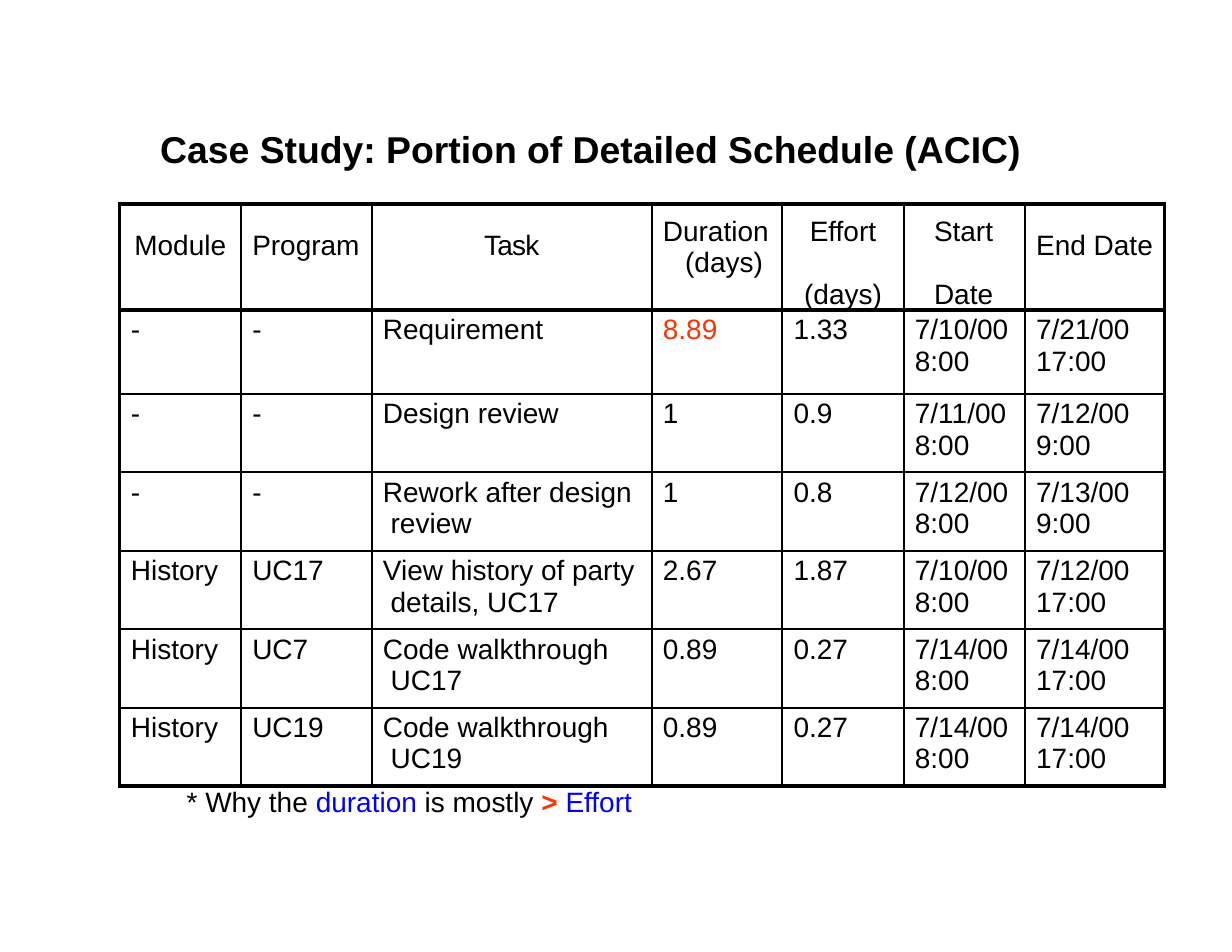
from dataclasses import dataclass

from lxml.etree import SubElement
from pptx import Presentation
from pptx.dml.color import RGBColor as RGB
from pptx.enum.text import MSO_ANCHOR as Anchor, MSO_AUTO_SIZE as AutoSize, PP_ALIGN as Align
from pptx.oxml import parse_xml
from pptx.oxml.ns import nsdecls, qn
from pptx.util import Pt


@dataclass(frozen=True)
class Theme:
    font: str = "Arial"
    black: RGB = RGB(0, 0, 0)
    red: RGB = RGB(0xFF, 0x32, 0)
    blue: RGB = RGB(0, 0, 0xFF)
    title: int = 24
    body: int = 18
    thin: float = 1.5
    side: float = 2.25
    heavy: float = 3


T = Theme()

COL_WIDTHS = [78, 84, 180, 84, 78, 78, 90]
ROW_HEIGHTS = [68, 54] + [50.4] * 5

# Header: lines, top inset, left margin, first-line indent
HEADER = [
    (["Module"], 17, 9.4, 0),
    (["Program"], 17, 7.2, 0),
    (["Task"], 17, 0, 0),
    (["Duration (days)"], 8, 21.5, -14.3),
    (["Effort", "(days)"], 8, 14, 3.6),
    (["Start", "Date"], 8, 19.5, 0),
    (["End Date"], 17, 7.2, 0),
]

ROWS = [
    ("-", "-", "Requirement", "8.89", "1.33", "7/10/00 8:00", "7/21/00 17:00"),
    ("-", "-", "Design review", "1", "0.9", "7/11/00 8:00", "7/12/00 9:00"),
    ("-", "-", "Rework after design review", "1", "0.8", "7/12/00 8:00", "7/13/00 9:00"),
    ("History", "UC17", "View history of party details, UC17", "2.67", "1.87",
     "7/10/00 8:00", "7/12/00 17:00"),
    ("History", "UC7", "Code walkthrough UC17", "0.89", "0.27", "7/14/00 8:00", "7/14/00 17:00"),
    ("History", "UC19", "Code walkthrough UC19", "0.89", "0.27", "7/14/00 8:00", "7/14/00 17:00"),
]
TASK_COL = 2
DATE_COLS = (5, 6)


def style(font, size=T.body, color=T.black, bold=False):
    font.name, font.size, font.bold = T.font, Pt(size), bold
    font.color.rgb = color


def set_frame(tf, left=0, top=0):
    tf.margin_left, tf.margin_top = Pt(left), Pt(top)
    tf.margin_right = tf.margin_bottom = 0


def set_indent(p, left, first):
    pPr = p._p.get_or_add_pPr()
    pPr.set("marL", str(Pt(left)))
    pPr.set("indent", str(Pt(first)))


def set_borders(cell, left, right, top, bottom):
    tcPr = cell._tc.get_or_add_tcPr()
    for i, (side, width) in enumerate(zip("LRTB", (left, right, top, bottom))):
        ln = parse_xml(f'<a:ln{side} {nsdecls("a")} w="{Pt(width)}"/>')
        SubElement(SubElement(ln, qn("a:solidFill")), qn("a:srgbClr"), val=str(T.black))
        tcPr.insert(i, ln)


def fill_cell(cell, lines, top, left=7.2, first=0, color=T.black, gap=0):
    set_frame(cell, top=top)
    cell.vertical_anchor = Anchor.TOP
    cell.fill.background()
    tf = cell.text_frame
    for i, line in enumerate(lines):
        p = tf.add_paragraph() if i else tf.paragraphs[0]
        p.text = line
        set_indent(p, left, 0 if i else first)
        if i and gap:
            p.space_before = Pt(gap)
        style(p.font, color=color)


def add_title(s):
    sp = s.shapes.title
    sp.left, sp.top, sp.width, sp.height = Pt(102), Pt(80), Pt(555), Pt(31)
    tf = sp.text_frame
    set_frame(tf, left=1, top=1)
    tf.vertical_anchor = Anchor.TOP
    tf.auto_size = AutoSize.NONE
    p = tf.paragraphs[0]
    p.text = "Case Study: Portion of Detailed Schedule (ACIC)"
    p.alignment = Align.LEFT
    style(p.font, T.title, bold=True)


def add_schedule(s):
    n_rows, n_cols = len(ROW_HEIGHTS), len(COL_WIDTHS)
    frame = s.shapes.add_table(n_rows, n_cols, Pt(77), Pt(131),
                               Pt(sum(COL_WIDTHS)), Pt(sum(ROW_HEIGHTS)))
    table = frame.table
    table.first_row = table.horz_banding = False
    for col, width in zip(table.columns, COL_WIDTHS):
        col.width = Pt(width)
    for row, height in zip(table.rows, ROW_HEIGHTS):
        row.height = Pt(height)

    # Header row
    for c, (lines, top, left, first) in enumerate(HEADER):
        fill_cell(table.cell(0, c), lines, top, left, first, gap=20)
    task = table.cell(0, TASK_COL).text_frame.paragraphs[0]
    task.alignment = Align.CENTER
    task.runs[0]._r.get_or_add_rPr().set("spc", "-50")

    # Task rows
    for r, values in enumerate(ROWS, 1):
        for c, value in enumerate(values):
            lines = value.split() if c in DATE_COLS else [value]
            left, first = (12.2, -5) if c == TASK_COL else (7.2, 0)
            color = T.red if value == "8.89" else T.black
            fill_cell(table.cell(r, c), lines, 2.9, left, first, color)

    # Rules: heavy outside and under the header
    for r in range(n_rows):
        for c in range(n_cols):
            set_borders(table.cell(r, c),
                        T.side if c == 0 else T.thin,
                        T.side if c == n_cols - 1 else T.thin,
                        T.heavy if r < 2 else T.thin,
                        T.heavy if r in (0, n_rows - 1) else T.thin)


def add_question(s):
    tf = s.shapes.add_textbox(Pt(119), Pt(503), Pt(288), Pt(24)).text_frame
    set_frame(tf, left=1, top=1)
    tf.word_wrap = True
    p = tf.paragraphs[0]
    for text, color, bold in [("* Why the ", T.black, False), ("duration ", T.blue, False),
                              ("is mostly ", T.black, False), ("> ", T.red, True),
                              ("Effort", T.blue, False)]:
        r = p.add_run()
        r.text = text
        style(r.font, color=color, bold=bold)


def main():
    prs = Presentation()
    prs.slide_width, prs.slide_height = Pt(792), Pt(612)
    s = prs.slides.add_slide(prs.slide_layouts[5])
    add_schedule(s)
    add_title(s)
    add_question(s)
    prs.save("out.pptx")


if __name__ == "__main__":
    main()
